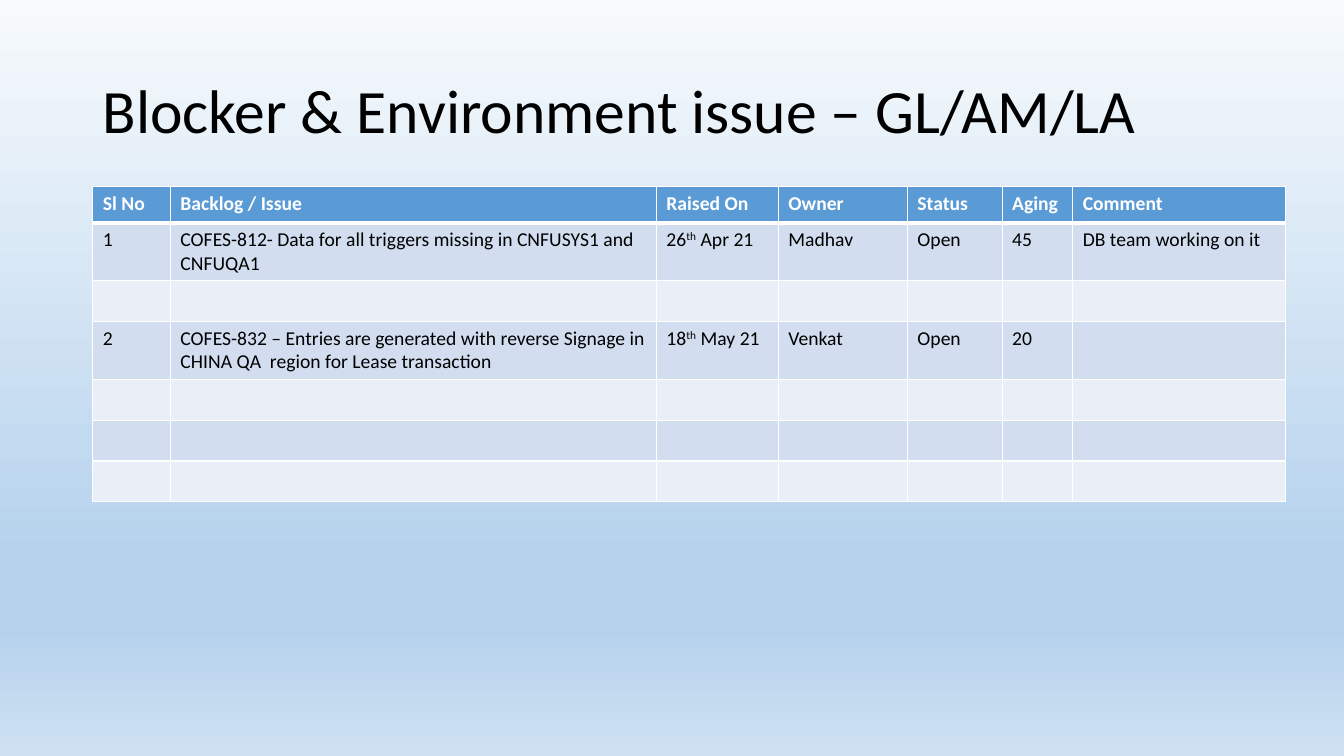
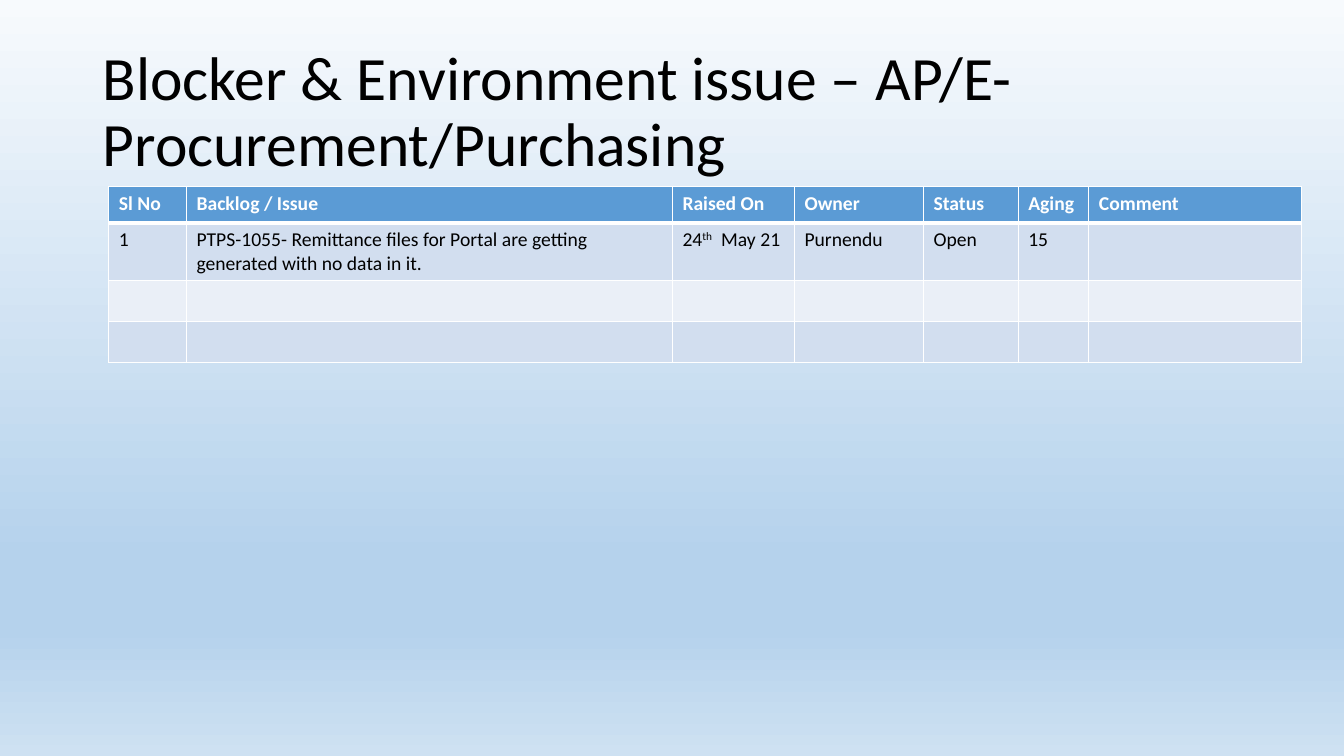
from lxml.etree import SubElement
from pptx import Presentation
from pptx.dml.color import RGBColor
from pptx.enum.text import MSO_ANCHOR, MSO_AUTO_SIZE, PP_ALIGN
from pptx.oxml.ns import qn
from pptx.util import Inches, Pt

FONT = "Calibri"
BLACK, WHITE, HEADER_BLUE = "000000", "FFFFFF", "5B9BD5"
BANDS = ("D2DEEF", "EAEFF7")
BACKGROUND = [(0, "F7FAFD"), (74, "B5D2EC"), (83, "B5D2EC"), (100, "CEE1F2")]

HEADERS = ["Sl No", "Backlog / Issue", "Raised On", "Owner", "Status", "Aging", "Comment"]
COLUMN_WIDTHS = [0.77, 4.82, 1.21, 1.28, 0.94, 0.7, 2.11]
HEADER_HEIGHT, ISSUE_HEIGHT, EMPTY_HEIGHT = 0.36, 0.57, 0.4
TABLE_TOP = 1.85
EMPTY = []

REPORTS = [
    {
        "title": "Blocker & Environment issue – GL/AM/LA",
        "left": 0.92,
        "issues": [
            ["1", "COFES-812- Data for all triggers missing in CNFUSYS1 and CNFUQA1",
             ("26", "th", " Apr 21"), "Madhav", "Open", "45", "DB team working on it"],
            EMPTY,
            ["2", "COFES-832 – Entries are generated with reverse Signage in "
                  "CHINA QA  region for Lease transaction",
             ("18", "th", " May 21"), "Venkat", "Open", "20", ""],
            EMPTY, EMPTY, EMPTY,
        ],
    },
    {
        "title": "Blocker & Environment issue – AP/E-Procurement/Purchasing",
        "left": 1.08,
        "issues": [
            ["1", "PTPS-1055- Remittance files for Portal are getting generated with no data in it.",
             ("24", "th", "  May 21"), "Purnendu", "Open", "15", ""],
            EMPTY, EMPTY,
        ],
    },
]


def rgb(value):
    return RGBColor.from_string(value)


def add_run(paragraph, text, size, color, bold=False):
    run = paragraph.add_run()
    run.text = text
    run.font.name = FONT
    run.font.size = Pt(size)
    run.font.bold = bold
    run.font.color.rgb = rgb(color)
    return run


def set_background(master):
    fill = master.background.fill
    fill.gradient()
    fill.gradient_angle = 270
    stops = next(master.element.iter(qn("a:gsLst")))
    for stop in list(stops):
        stops.remove(stop)
    for position, color in BACKGROUND:
        stop = SubElement(stops, qn("a:gs"), pos=str(position * 1000))
        SubElement(stop, qn("a:srgbClr"), val=color)


def place_title(title):
    title.left, title.top = Inches(0.92), Inches(0.4)
    title.width, title.height = Inches(11.5), Inches(1.45)


def write_title(title, text):
    frame = title.text_frame
    frame.word_wrap = True
    frame.auto_size = MSO_AUTO_SIZE.NONE
    frame.vertical_anchor = MSO_ANCHOR.MIDDLE
    paragraph = frame.paragraphs[0]
    paragraph.alignment = PP_ALIGN.LEFT
    paragraph.line_spacing = 0.9
    add_run(paragraph, text, 44, BLACK)


def style_cell(cell, fill, top, bottom):
    properties = cell._tc.get_or_add_tcPr()
    for side, width in (("L", 1), ("R", 1), ("T", top), ("B", bottom)):
        border = SubElement(properties, qn(f"a:ln{side}"), w=str(Pt(width)))
        solid = SubElement(border, qn("a:solidFill"))
        SubElement(solid, qn("a:srgbClr"), val=WHITE)
    cell.fill.solid()
    cell.fill.fore_color.rgb = rgb(fill)


def write_cell(cell, content, color, bold):
    paragraph = cell.text_frame.paragraphs[0]
    parts = content if isinstance(content, tuple) else (content,)
    for index, part in enumerate(parts):
        if part:
            run = add_run(paragraph, part, 14, color, bold)
            if index == 1:
                run._r.get_or_add_rPr().set("baseline", "30000")


def add_issue_table(slide, left, issues):
    heights = [HEADER_HEIGHT] + [ISSUE_HEIGHT if issue else EMPTY_HEIGHT for issue in issues]
    table = slide.shapes.add_table(
        len(heights), len(HEADERS), Inches(left), Inches(TABLE_TOP),
        Inches(sum(COLUMN_WIDTHS)), Inches(sum(heights))).table
    for column, width in zip(table.columns, COLUMN_WIDTHS):
        column.width = Inches(width)
    for number, (row, height, contents) in enumerate(zip(table.rows, heights, [HEADERS] + issues)):
        row.height = Inches(height)
        is_header = number == 0
        fill = HEADER_BLUE if is_header else BANDS[(number - 1) % 2]
        for cell in row.cells:
            style_cell(cell, fill, 3 if number == 1 else 1, 3 if is_header else 1)
        for cell, content in zip(row.cells, contents):
            write_cell(cell, content, WHITE if is_header else BLACK, is_header)


def main():
    deck = Presentation()
    deck.slide_width, deck.slide_height = Inches(13.33), Inches(7.5)
    set_background(deck.slide_master)
    title_only = deck.slide_layouts[5]
    place_title(title_only.placeholders[0])
    for report in REPORTS:
        slide = deck.slides.add_slide(title_only)
        write_title(slide.shapes.title, report["title"])
        add_issue_table(slide, report["left"], report["issues"])
    deck.save("out.pptx")


if __name__ == "__main__":
    main()
